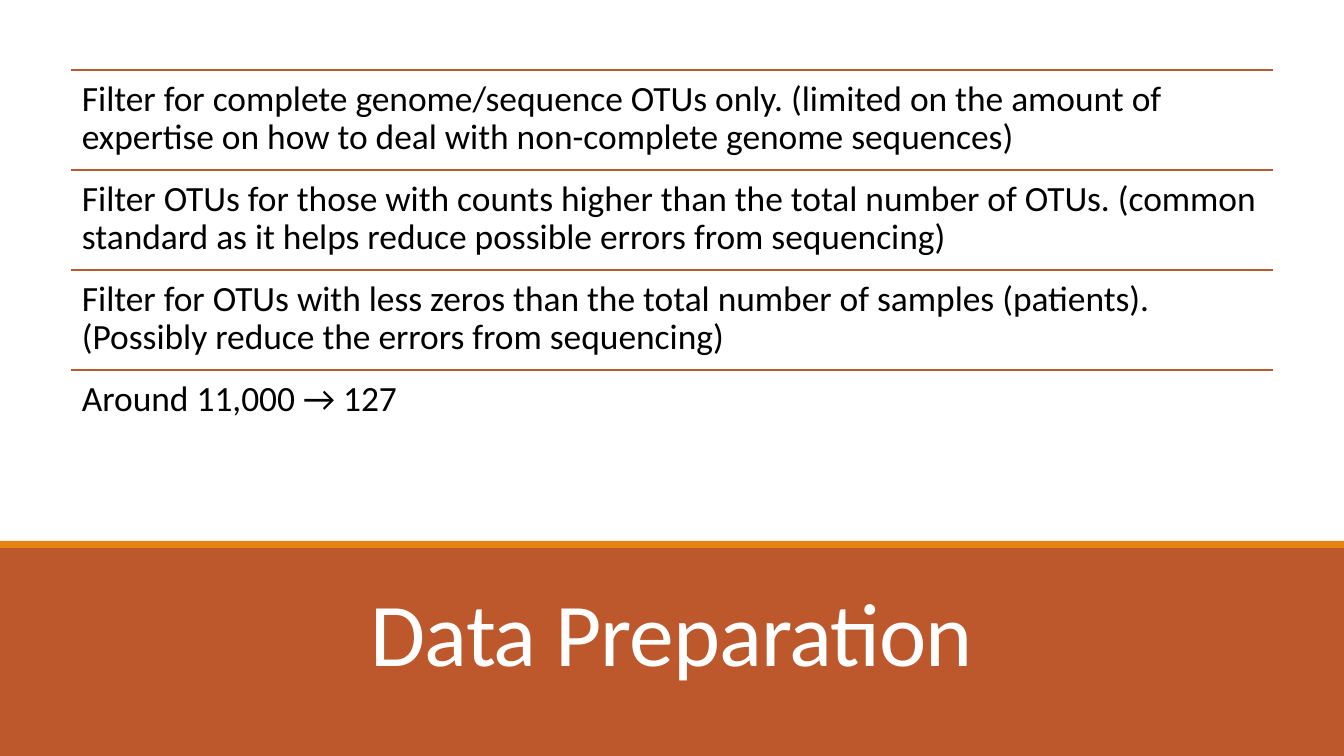
from pptx import Presentation
from pptx.dml.color import RGBColor
from pptx.enum.shapes import MSO_CONNECTOR, MSO_SHAPE
from pptx.enum.text import MSO_ANCHOR, MSO_AUTO_SIZE, PP_ALIGN
from pptx.oxml.ns import qn
from pptx.util import Pt
from lxml.etree import SubElement

COLORS = {"rust": "BD582C", "amber": "E48312", "ink": "000000", "paper": "FFFFFF"}


class Deck:
    """Hold the style and the current slide, and draw elements in pixels."""

    font = "Calibri"
    scale = 914400 / 134.4

    def __init__(self, width, height):
        self.file = Presentation()
        self.file.slide_width, self.file.slide_height = self.emu(width, height)
        self.slide = self.file.slides.add_slide(self.file.slide_layouts[5])

    def emu(self, *pixels):
        return [round(pixel * self.scale) for pixel in pixels]

    def color(self, name):
        return RGBColor.from_string(COLORS[name])

    def band(self, box, color):
        band = self.slide.shapes.add_shape(MSO_SHAPE.RECTANGLE, *self.emu(*box))
        band.shadow.inherit = False
        band.fill.solid()
        band.fill.fore_color.rgb = self.color(color)
        band.line.fill.background()

    def rule(self, left, top, width):
        ends = self.emu(left, top, left + width, top)
        rule = self.slide.shapes.add_connector(MSO_CONNECTOR.STRAIGHT, *ends)
        rule.line.color.rgb = self.color("rust")
        rule.line.width = Pt(1.25)
        SubElement(rule._element.spPr, qn("a:effectLst"))

    def set_text(self, frame, text, size, color, spacing):
        frame.word_wrap = True
        frame.auto_size = MSO_AUTO_SIZE.NONE
        paragraph = frame.paragraphs[0]
        paragraph.line_spacing = spacing
        run = paragraph.add_run()
        run.text = text
        run.font.name = self.font
        run.font.size = Pt(size)
        run.font.color.rgb = self.color(color)
        return paragraph, run

    def title(self, box, text):
        title = self.slide.shapes.title
        title.left, title.top, title.width, title.height = self.emu(*box)
        title.text_frame.vertical_anchor = MSO_ANCHOR.BOTTOM
        paragraph, run = self.set_text(title.text_frame, text, 48, "paper", 0.85)
        paragraph.alignment = PP_ALIGN.CENTER
        run.font._element.set("spc", "-50")
        self.slide.shapes._spTree.append(title._element)

    def step(self, box, text):
        frame = self.slide.shapes.add_textbox(*self.emu(*box)).text_frame
        inset = self.emu(11)[0]
        frame.margin_left = frame.margin_right = inset
        frame.margin_top = frame.margin_bottom = inset
        self.set_text(frame, text, 19, "ink", 0.9)


WIDTH, HEIGHT = 1344, 756
BAND_TOP = 546
LEFT, TOP, PITCH = 71, 70, 100
STEP_WIDTH = WIDTH - 2 * LEFT
STEPS = [
    "Filter for complete genome/sequence OTUs only. (limited on the amount of "
    "expertise on how to deal with non-complete genome sequences)",
    "Filter OTUs for those with counts higher than the total number of OTUs. "
    "(common standard as it helps reduce possible errors from sequencing)",
    "Filter for OTUs with less zeros than the total number of samples (patients). "
    "(Possibly reduce the errors from sequencing)",
    "Around 11,000 → 127",
]

deck = Deck(WIDTH, HEIGHT)
deck.band((0, BAND_TOP, WIDTH, HEIGHT - BAND_TOP), "rust")
deck.band((0, 541, WIDTH, 7), "amber")
deck.title((118, 579, 1108, 113), "Data Preparation")
for row, step in enumerate(STEPS):
    top = TOP + row * PITCH
    deck.rule(LEFT, top, STEP_WIDTH)
    deck.step((LEFT, top, STEP_WIDTH, PITCH), step)
deck.file.save("out.pptx")
